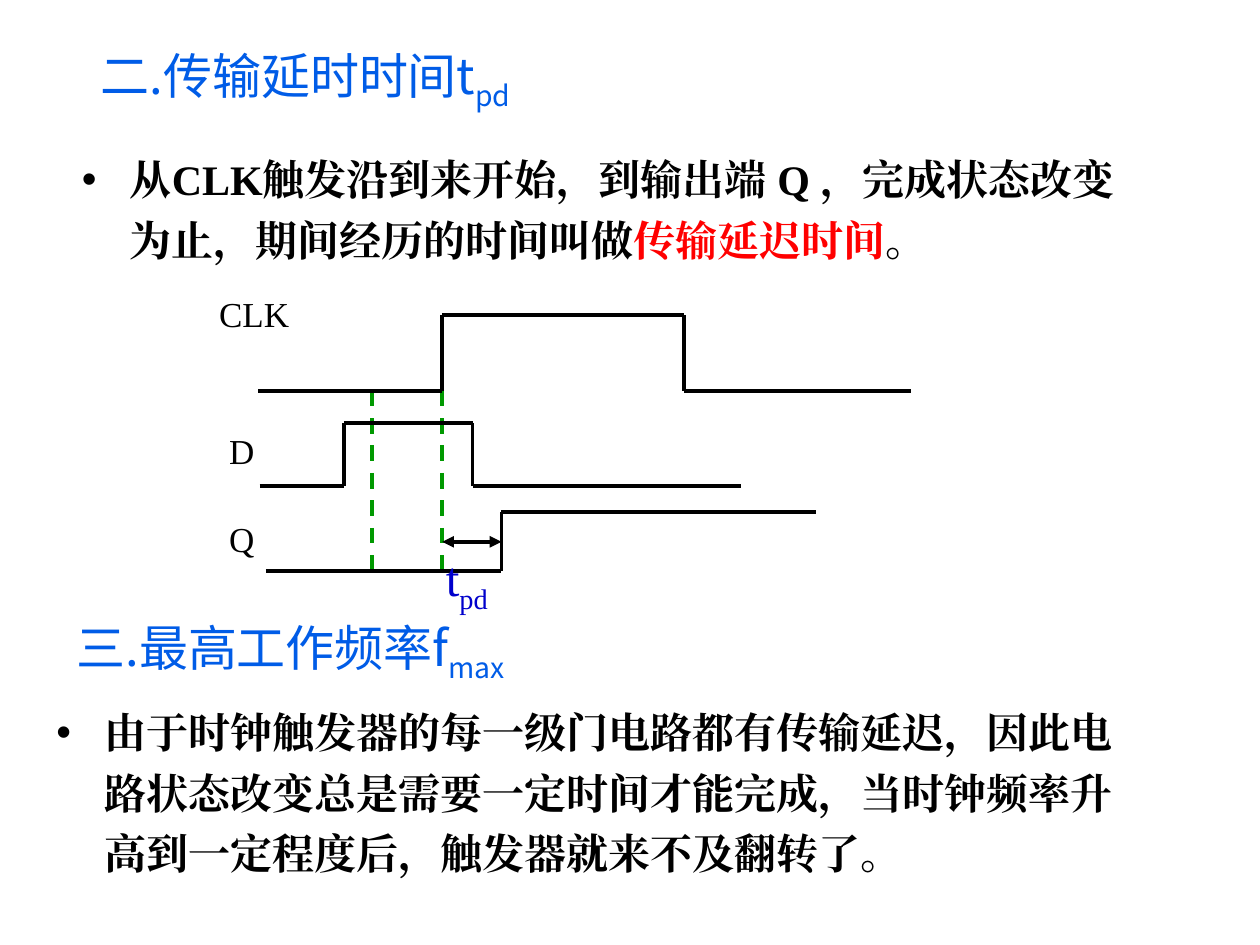
from itertools import pairwise

from lxml import etree
from pptx import Presentation
from pptx.dml.color import RGBColor
from pptx.enum.dml import MSO_LINE
from pptx.enum.shapes import MSO_CONNECTOR
from pptx.enum.text import MSO_ANCHOR, MSO_AUTO_SIZE, PP_ALIGN
from pptx.oxml.ns import qn
from pptx.util import Inches, Pt

STRAIGHT = MSO_CONNECTOR.STRAIGHT
DASH = MSO_LINE.DASH
TOP = MSO_ANCHOR.TOP
LEFT = PP_ALIGN.LEFT
NO_FIT = MSO_AUTO_SIZE.NONE

BLACK = RGBColor(0, 0, 0)
RED = RGBColor(255, 0, 0)
BLUE = RGBColor(0x00, 0x5C, 0xE7)
NAVY = RGBColor(0x00, 0x00, 0xCC)
GREEN = RGBColor(0x00, 0x99, 0x00)
SANS = "Noto Sans CJK SC"
SERIF = "Times New Roman"

DELAY_HEADING = ("二.传输延时时间t", "pd")
FREQUENCY_HEADING = ("三.最高工作频率f", "max")
DELAY_TEXT = [
    ("从CLK触发沿到来开始，到输出端 Q ，完成状态改变为止，期间经历的时间叫做", BLACK),
    ("传输延迟时间", RED),
    ("。", BLACK),
]
FREQUENCY_TEXT = [
    ("由于时钟触发器的每一级门电路都有传输延迟，因此电路状态改变总是需要一定时间"
     "才能完成，当时钟频率升高到一定程度后，触发器就来不及翻转了。", BLACK),
]
CLOCK_EDGE, OUTPUT_EDGE, SETUP_START = 3.51, 3.98, 2.95
SIGNALS = [
    {"name": "CLK", "label": (1.64, 2.27), "low": 3.1, "high": 2.5,
     "start": 2.05, "edges": (CLOCK_EDGE, 5.43), "end": 7.23},
    {"name": "D", "label": (1.72, 3.36), "low": 3.86, "high": 3.36,
     "start": 2.06, "edges": (2.73, 3.75), "end": 5.88},
    {"name": "Q", "label": (1.72, 4.06), "low": 4.53, "high": 4.06,
     "start": 2.11, "edges": (OUTPUT_EDGE,), "end": 6.48},
]


def prepare(box, left, top, width, height, wrap=True):
    box.left, box.top = Inches(left), Inches(top)
    box.width, box.height = Inches(width), Inches(height)
    frame = box.text_frame
    frame.word_wrap = wrap
    frame.auto_size = NO_FIT
    frame.vertical_anchor = TOP
    para = frame.paragraphs[0]
    para.alignment = LEFT
    return para


def add_span(para, text, size, face, color, bold=False):
    span = para.add_run()
    span.text = text
    font = span.font
    font.size, font.name, font.bold = Pt(size), face, bold
    font.color.rgb = color
    properties = span._r.get_or_add_rPr()
    etree.SubElement(properties, qn("a:ea")).set("typeface", face)
    return properties


def write_symbol(para, words, face, color):
    base, subscript = words
    add_span(para, base, 28, face, color)
    add_span(para, subscript, 28, face, color).set("baseline", "-25000")


def write_bullet(para, spans):
    para.line_spacing = 1.2
    para.space_before = Pt(4.8)
    properties = para._p.get_or_add_pPr()
    properties.set("marL", str(Inches(0.38)))
    properties.set("indent", str(-Inches(0.38)))
    etree.SubElement(properties, qn("a:buFont")).set("typeface", "Arial")
    etree.SubElement(properties, qn("a:buChar")).set("char", "•")
    for text, color in spans:
        add_span(para, text, 24, SERIF, color, bold=True)


def add_text_box(page, *place, wrap=True):
    return prepare(page.shapes.add_textbox(0, 0, 0, 0), *place, wrap=wrap)


def add_line(page, start, end, color=BLACK):
    ends = [Inches(value) for value in (*start, *end)]
    line = page.shapes.add_connector(STRAIGHT, *ends)
    line.line.color.rgb = color
    line.line.width = Pt(2.25)
    etree.SubElement(line._element.spPr, qn("a:effectLst"))
    return line


def draw_signal(page, signal):
    level, other = signal["low"], signal["high"]
    points = [(signal["start"], level)]
    for edge in signal["edges"]:
        points += [(edge, level), (edge, other)]
        level, other = other, level
    points.append((signal["end"], level))
    for start, end in pairwise(points):
        add_line(page, start, end)
    para = add_text_box(page, *signal["label"], 1.04, 0.43)
    add_span(para, signal["name"], 20, SERIF, BLACK)


def main():
    deck = Presentation()
    deck.slide_width, deck.slide_height = Inches(10), Inches(7.5)
    page = deck.slides.add_slide(deck.slide_layouts[1])

    title = prepare(page.shapes.title, 0.7, 0.31, 4.22, 0.57)
    write_symbol(title, DELAY_HEADING, SANS, BLUE)
    body = prepare(page.placeholders[1], 0.55, 1.09, 8.59, 1.02)
    write_bullet(body, DELAY_TEXT)

    for x in (SETUP_START, CLOCK_EDGE):
        add_line(page, (x, 3.1), (x, 4.6), GREEN).line.dash_style = DASH
    for signal in SIGNALS:
        draw_signal(page, signal)

    arrow = add_line(page, (CLOCK_EDGE, 4.3), (OUTPUT_EDGE, 4.3))
    outline = arrow.line._get_or_add_ln()
    for tag in ("a:headEnd", "a:tailEnd"):
        etree.SubElement(outline, qn(tag)).set("type", "triangle")
    delay = add_text_box(page, 3.44, 4.3, 0.57, 0.57, wrap=False)
    write_symbol(delay, ("t", "pd"), SERIF, NAVY)

    heading = add_text_box(page, 0.51, 4.85, 5, 0.57)
    write_symbol(heading, FREQUENCY_HEADING, SANS, BLUE)
    write_bullet(add_text_box(page, 0.35, 5.48, 8.9, 1.58), FREQUENCY_TEXT)
    deck.save("out.pptx")


if __name__ == "__main__":
    main()
